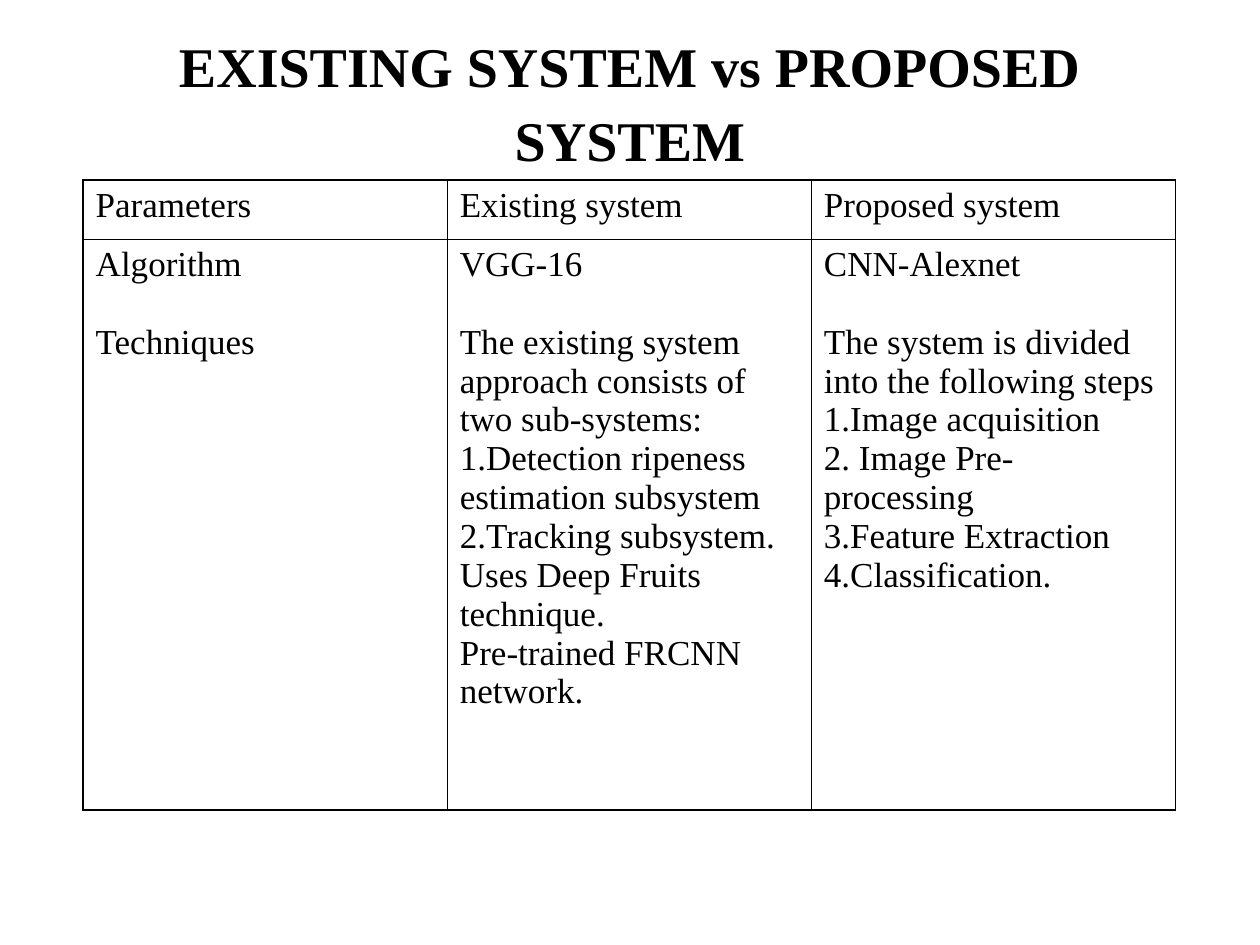
from lxml.etree import SubElement
from pptx import Presentation
from pptx.dml.color import RGBColor
from pptx.enum.text import MSO_ANCHOR, PP_ALIGN
from pptx.oxml.ns import qn
from pptx.util import Inches, Pt

BLACK = RGBColor(0, 0, 0)
FACE = "Times New Roman"
HEAD = "EXISTING SYSTEM vs PROPOSED SYSTEM"
GAP = Pt(22)  # between the algorithm and the techniques

# One list of paragraphs for each cell
ROWS = [
    [["Parameters"], ["Existing system"], ["Proposed system"]],
    [
        ["Algorithm", "Techniques"],
        ["VGG-16",
         "The existing system approach consists of two sub-systems:",
         "1.Detection ripeness estimation subsystem 2.Tracking subsystem.",
         "Uses Deep Fruits technique.",
         "Pre-trained FRCNN network."],
        ["CNN-Alexnet",
         "The system is divided into the following steps",
         "1.Image acquisition",
         "2. Image Pre-processing",
         "3.Feature Extraction",
         "4.Classification."],
    ],
]
HEIGHTS = [0.47, 4.53]
WIDTH = 2.89


def style(font, size, bold=False):
    for name, value in dict(name=FACE, size=Pt(size), bold=bold).items():
        setattr(font, name, value)
    font.color.rgb = BLACK


def border(cell):
    props = cell._tc.get_or_add_tcPr()
    for i, side in enumerate(("lnL", "lnR", "lnT", "lnB")):
        line = SubElement(props, qn(f"a:{side}"), w=str(Pt(1)))
        fill = SubElement(line, qn("a:solidFill"))
        SubElement(fill, qn("a:srgbClr"), val=str(BLACK))
        props.remove(line)
        props.insert(i, line)  # borders come before the cell's fill


def write(cell, lines):
    cell.fill.background()
    border(cell)
    frame = cell.text_frame
    frame.text = "\n".join(lines)
    for i, para in enumerate(frame.paragraphs):
        if i == 1:
            para.space_before = GAP
        style(para.font, 20)


def main():
    deck = Presentation()
    deck.slide_width, deck.slide_height = Inches(10), Inches(7.5)
    slide = deck.slides.add_slide(deck.slide_layouts[5])

    title = slide.shapes.title
    place = dict(left=0.5, top=0.16, width=9, height=1.25)
    for name, value in place.items():
        setattr(title, name, Inches(value))
    frame = title.text_frame
    frame.text = HEAD
    frame.vertical_anchor = MSO_ANCHOR.MIDDLE
    para = frame.paragraphs[0]
    para.alignment = PP_ALIGN.CENTER
    para.line_spacing = 1.1
    style(para.font, 32, True)

    cols = len(ROWS[0])
    table = slide.shapes.add_table(
        len(ROWS), cols, Inches(0.66), Inches(1.43),
        Inches(WIDTH * cols), Inches(sum(HEIGHTS))).table
    table.first_row = table.horz_banding = False
    for col in table.columns:
        col.width = Inches(WIDTH)
    for r, row in enumerate(ROWS):
        table.rows[r].height = Inches(HEIGHTS[r])
        for c, lines in enumerate(row):
            write(table.cell(r, c), lines)

    deck.save("out.pptx")


if __name__ == "__main__":
    main()
